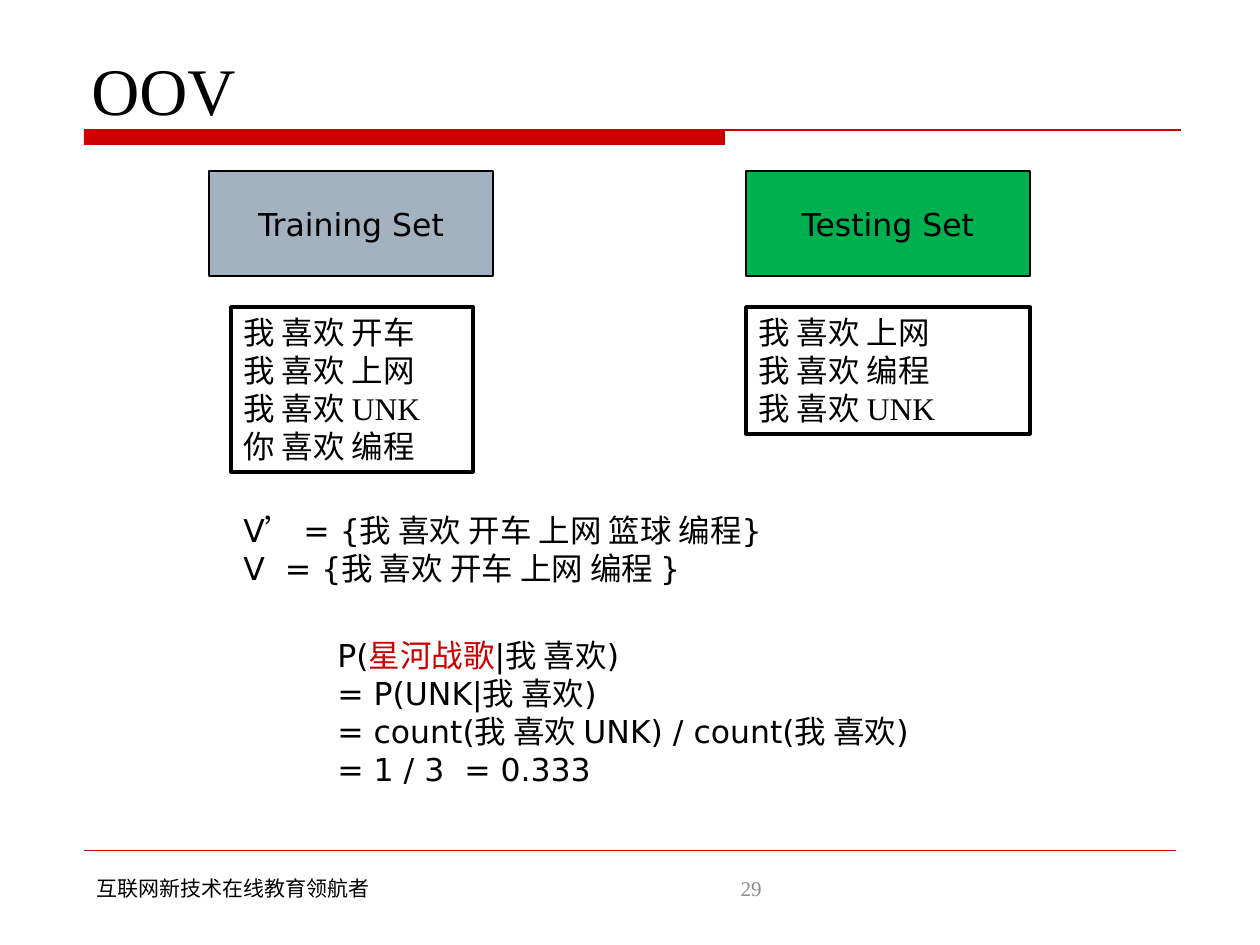
"""Build the OOV slide: training and testing sets, vocabularies and a probability."""
from lxml.etree import SubElement
from pptx import Presentation
from pptx.dml.color import RGBColor
from pptx.enum.shapes import MSO_CONNECTOR, MSO_SHAPE
from pptx.enum.text import MSO_ANCHOR, PP_ALIGN
from pptx.oxml.ns import qn
from pptx.util import Pt

PX = 914400 // 126
SERIF, SANS, HAN = "Times New Roman", "DejaVu Sans", "Noto Sans CJK SC"
RED, BLACK, WHITE = "CC0000", "000000", "FFFFFF"
MID = {"vertical_anchor": MSO_ANCHOR.MIDDLE}
LOW = {"vertical_anchor": MSO_ANCHOR.BOTTOM}

BAR = (84, 130, 641, 15)
RULES = [((84, 130), (1181, 130), 0.75), ((84, 850), (1176, 850), 0.25)]

# Each set: left, fill, name, sentence box left and width, sentences
SETS = [
    (209, "A3B2C1", "Training Set", 231, 242,
     ["我 喜欢 开车", "我 喜欢 上网", "我 喜欢 UNK", "你 喜欢 编程"]),
    (746, "00B050", "Testing Set", 746, 284,
     ["我 喜欢 上网", "我 喜欢 编程", "我 喜欢 UNK"]),
]
VOCAB = ["V’ = {我 喜欢 开车 上网 篮球 编程}", "V  = {我 喜欢 开车 上网 编程 }"]
PROOF = [
    [("P(", BLACK), ("星河战歌", RED), ("|我 喜欢)", BLACK)],
    "= P(UNK|我 喜欢)",
    "= count(我 喜欢 UNK) / count(我 喜欢) = 1 / 3  = 0.333",
]
# Each text: box, lines, font, size, colour, alignment, frame format
TEXTS = [
    ((79, 42, 1103, 93), ["OOV"], SERIF, 38, BLACK, PP_ALIGN.LEFT, LOW),
    ((231, 505, 551, 89), VOCAB, SANS, 18, BLACK, PP_ALIGN.LEFT, {}),
    ((325, 630, 630, 165), PROOF, SANS, 18, BLACK, PP_ALIGN.LEFT, {}),
    ((84, 869, 301, 38), ["互联网新技术在线教育领航者"], HAN, 12, BLACK, PP_ALIGN.LEFT, {}),
    ((490, 863, 284, 50), ["29"], SERIF, 12, "8C8C8C", PP_ALIGN.RIGHT, MID),
]


def tint(code):
    return RGBColor.from_string(code)


def emu(nums):
    return [n * PX for n in nums]


def write(shape, lines, face, size, color, align, form):
    frame = shape.text_frame
    for key, val in {"word_wrap": True, **form}.items():
        setattr(frame, key, val)
    for i, line in enumerate(lines):
        para = frame.add_paragraph() if i else frame.paragraphs[0]
        para.alignment = align
        for text, hue in [(line, color)] if isinstance(line, str) else line:
            run = para.add_run()
            run.text = text
            for key, val in {"name": face, "size": Pt(size)}.items():
                setattr(run.font, key, val)
            run.font.color.rgb = tint(hue)
            SubElement(run._r.get_or_add_rPr(), qn("a:ea"), typeface=HAN)


def block(slide, box, fill, edge):
    shape = slide.shapes.add_shape(MSO_SHAPE.RECTANGLE, *emu(box))
    shape.shadow.inherit = False
    shape.fill.solid()
    shape.fill.fore_color.rgb = tint(fill)
    if edge:
        shape.line.color.rgb = tint(BLACK)
        shape.line.width = Pt(edge)
    else:
        shape.line.fill.background()
    return shape


def rule(slide, start, end, width):
    line = slide.shapes.add_connector(MSO_CONNECTOR.STRAIGHT, *emu(start + end))
    line.line.color.rgb = tint(RED)
    line.line.width = Pt(width)
    SubElement(line._element.spPr, qn("a:effectLst"))


def main():
    deck = Presentation()
    deck.slide_width, deck.slide_height = emu((1260, 945))
    slide = deck.slides.add_slide(deck.slide_layouts[6])
    block(slide, BAR, RED, 0)
    for item in RULES:
        rule(slide, *item)
    for left, fill, name, edge, width, lines in SETS:
        head = block(slide, (left, 171, 284, 105), fill, 0.75)
        write(head, [name], SANS, 18, BLACK, PP_ALIGN.CENTER, MID)
        body = block(slide, (edge, 307, width, 13 + 38 * len(lines)), WHITE, 2)
        write(body, lines, SERIF, 18, BLACK, PP_ALIGN.LEFT,
              {"vertical_anchor": MSO_ANCHOR.TOP})
    for box, *rest in TEXTS:
        write(slide.shapes.add_textbox(*emu(box)), *rest)
    deck.save("out.pptx")


if __name__ == "__main__":
    main()
